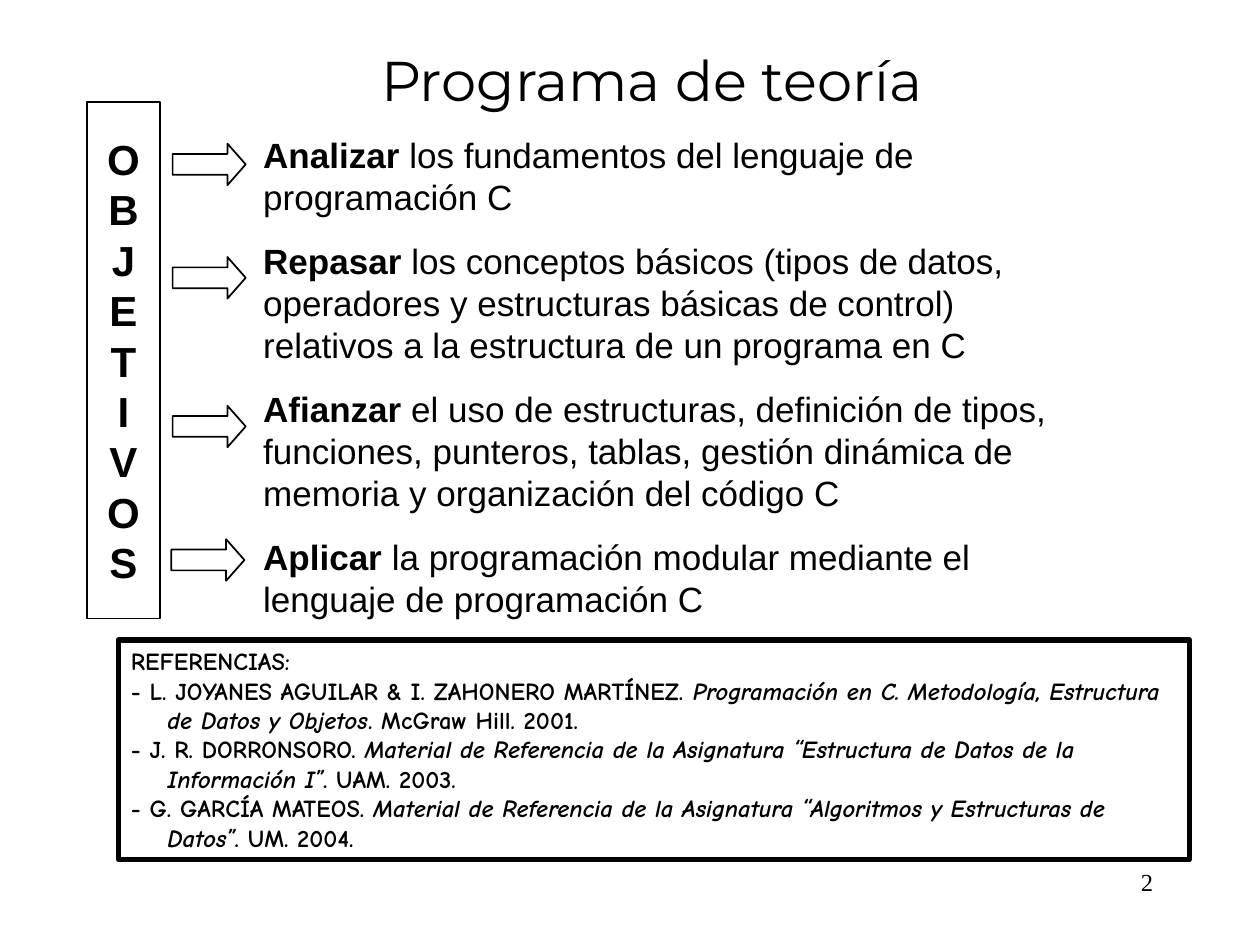
from pptx import Presentation
from pptx.dml.color import RGBColor
from pptx.enum import shapes, text
from pptx.util import Inches, Pt

BLACK, WHITE = "000000", "FFFFFF"
LEFT, CENTER, RIGHT = text.PP_ALIGN.LEFT, text.PP_ALIGN.CENTER, text.PP_ALIGN.RIGHT

TITLE = "Programa de teoría"
BANNER = "OBJETIVOS"
PAGE_NUMBER = "2"
OBJECTIVES = [
    ("Analizar", " los fundamentos del lenguaje de programación C"),
    ("Repasar ", "los conceptos básicos (tipos de datos, operadores y estructuras "
                 "básicas de control) relativos a la estructura de un programa en C"),
    ("Afianzar", " el uso de estructuras, definición de tipos, funciones, punteros, "
                 "tablas, gestión dinámica de memoria y organización del código C"),
    ("Aplicar", " la programación modular mediante el lenguaje de programación C"),
]
REFERENCES = [
    ("- L. JOYANES AGUILAR & I. ZAHONERO MARTÍNEZ.",
     " Programación en C. Metodología, Estructura de Datos y Objetos",
     ". McGraw Hill. 2001."),
    ("- J. R. DORRONSORO. ",
     "Material de Referencia de la Asignatura “Estructura de Datos de la Información I”",
     ". UAM. 2003."),
    ("- G. GARCÍA MATEOS. ",
     "Material de Referencia de la Asignatura “Algoritmos y Estructuras de Datos”",
     ". UM. 2004."),
]
ARROWS = [(1.37, 1.14), (1.37, 2.04), (1.37, 3.22), (1.36, 4.28)]


def color(value):
    return RGBColor.from_string(value)


def add_shape(slide, kind, box, line_width, fill=None):
    shape = slide.shapes.add_shape(kind, *map(Inches, box))
    shape.shadow.inherit = False
    if fill:
        shape.fill.solid()
        shape.fill.fore_color.rgb = color(fill)
    else:
        shape.fill.background()
    shape.line.color.rgb = color(BLACK)
    shape.line.width = Pt(line_width)
    return shape


def add_textbox(slide, box):
    return slide.shapes.add_textbox(*map(Inches, box))


def write(shape, paragraphs, font, size, align=LEFT, gap=0, hanging=0,
          anchor=text.MSO_ANCHOR.TOP, wrap=True):
    frame = shape.text_frame
    frame.word_wrap = wrap
    frame.vertical_anchor = anchor
    for index, runs in enumerate(paragraphs):
        paragraph = frame.add_paragraph() if index else frame.paragraphs[0]
        paragraph.alignment = align
        paragraph.space_before = Pt(gap if index else 0)
        if hanging:
            properties = paragraph._p.get_or_add_pPr()
            properties.set("marL", str(Inches(hanging)))
            properties.set("indent", str(-Inches(hanging)))
        for content, bold, italic in runs:
            run = paragraph.add_run()
            run.text = content
            run.font.name = font
            run.font.size = Pt(size)
            run.font.bold = bold
            run.font.italic = italic
            run.font.color.rgb = color(BLACK)


def main():
    presentation = Presentation()
    presentation.slide_width, presentation.slide_height = Inches(10), Inches(7.5)
    slide = presentation.slides.add_slide(presentation.slide_layouts[6])

    title = add_textbox(slide, (2.17, 0.31, 6.01, 0.64))
    write(title, [[(TITLE, False, False)]], "Montserrat", 32, CENTER)

    banner = add_shape(slide, shapes.MSO_SHAPE.RECTANGLE, (0.69, 0.81, 0.58, 4.1), 1, WHITE)
    write(banner, [[(letter, True, False)] for letter in BANNER], "Arial", 24, CENTER,
          anchor=text.MSO_ANCHOR.MIDDLE, wrap=False)

    objectives = add_textbox(slide, (1.99, 1.01, 6.55, 3.96))
    write(objectives, [[(verb, True, False), (rest, False, False)] for verb, rest in OBJECTIVES],
          "Arial", 20, gap=12.5)

    for left, top in ARROWS:
        arrow = add_shape(slide, shapes.MSO_SHAPE.RIGHT_ARROW, (left, top, 0.58, 0.33), 1, WHITE)
        arrow.adjustments[1] = 0.44

    references = add_shape(slide, shapes.MSO_SHAPE.RECTANGLE, (0.94, 5.08, 8.5, 1.74), 3)
    entries = [[(author, True, False), (work, True, True), (imprint, True, False)]
               for author, work, imprint in REFERENCES]
    write(references, [[("REFERENCIAS:", True, False)]] + entries, "Comic Neue", 14, hanging=0.29)

    number = add_textbox(slide, (7.17, 6.83, 2.08, 0.5))
    write(number, [[(PAGE_NUMBER, False, False)]], "Times New Roman", 14, RIGHT)

    presentation.save("out.pptx")


if __name__ == "__main__":
    main()
